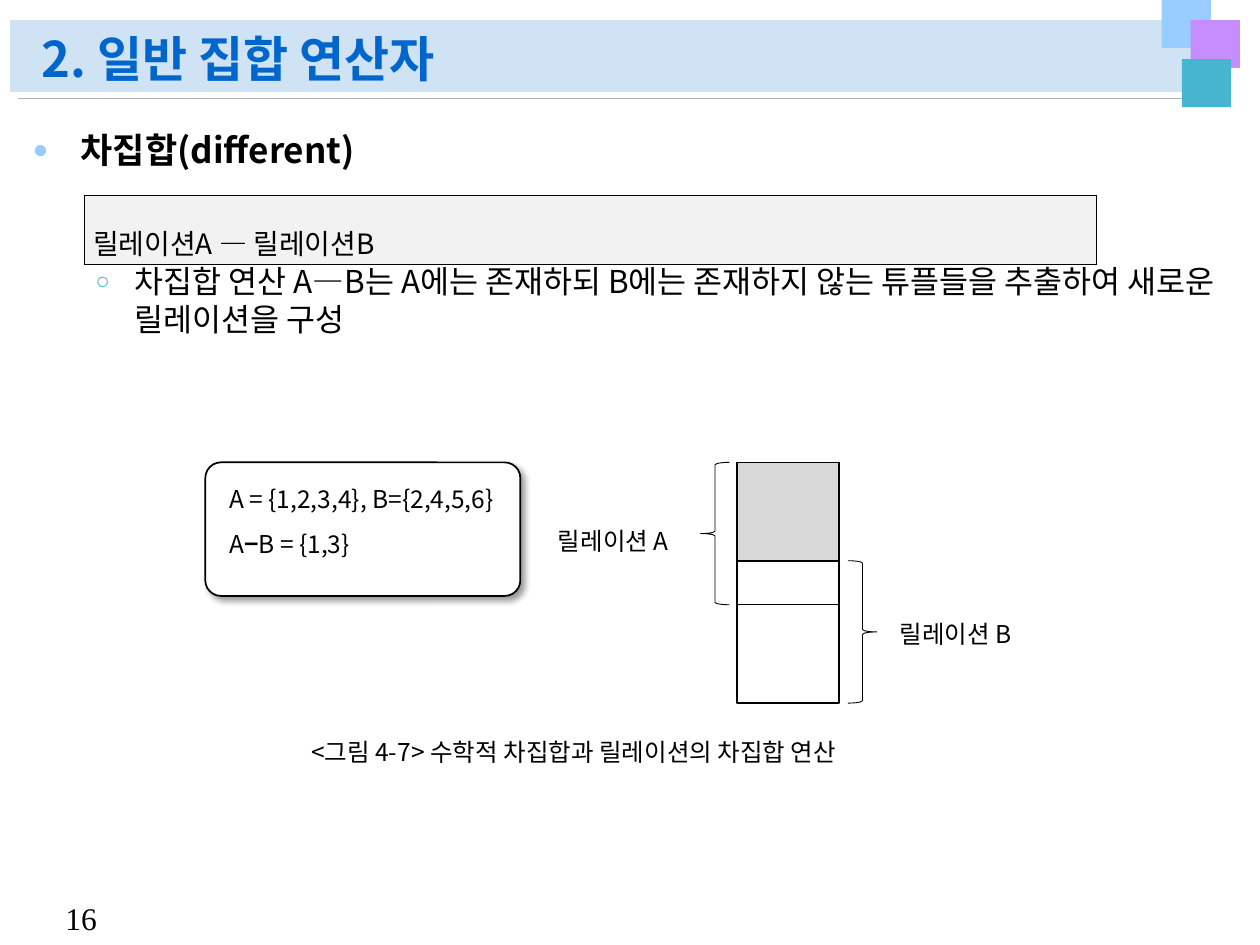
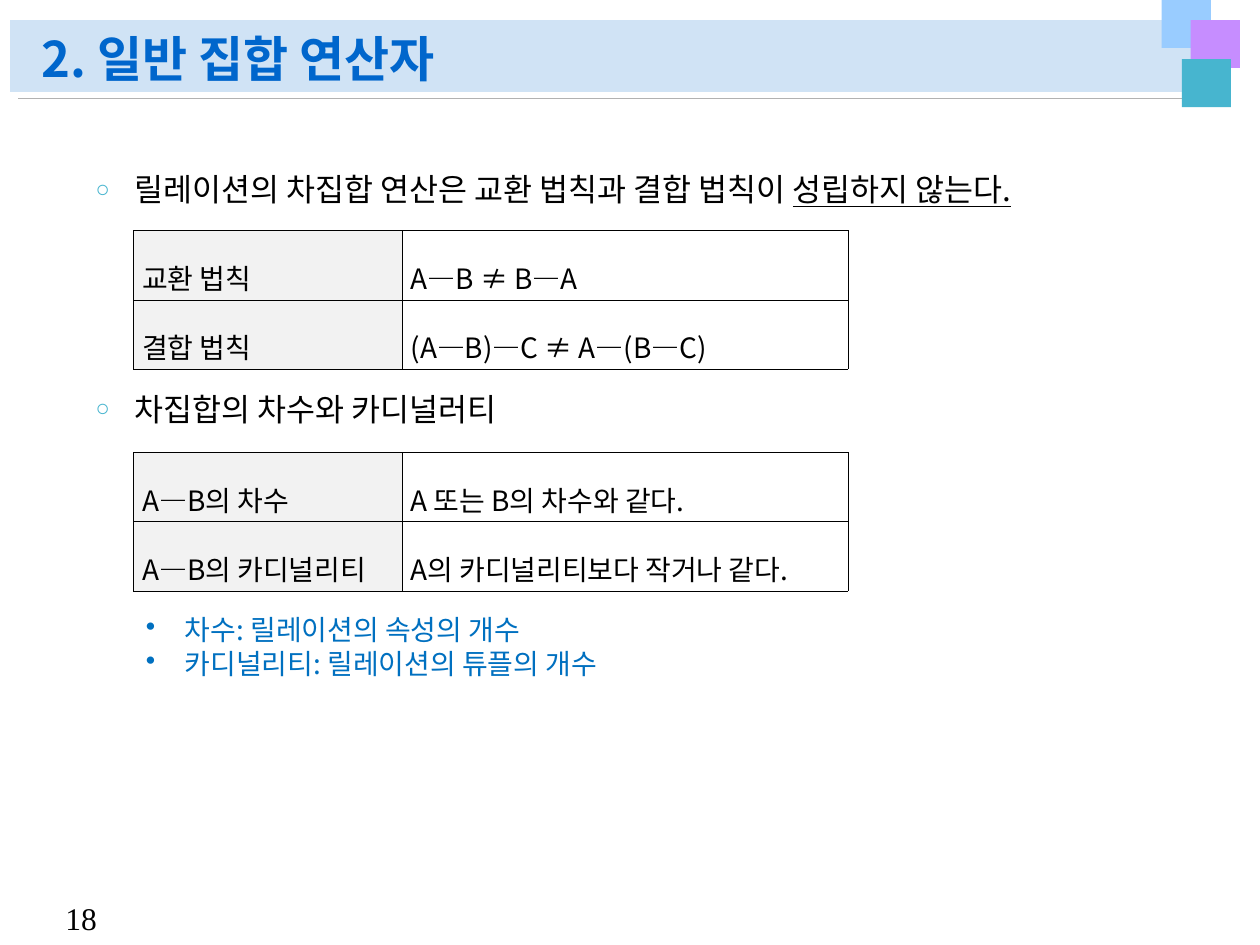
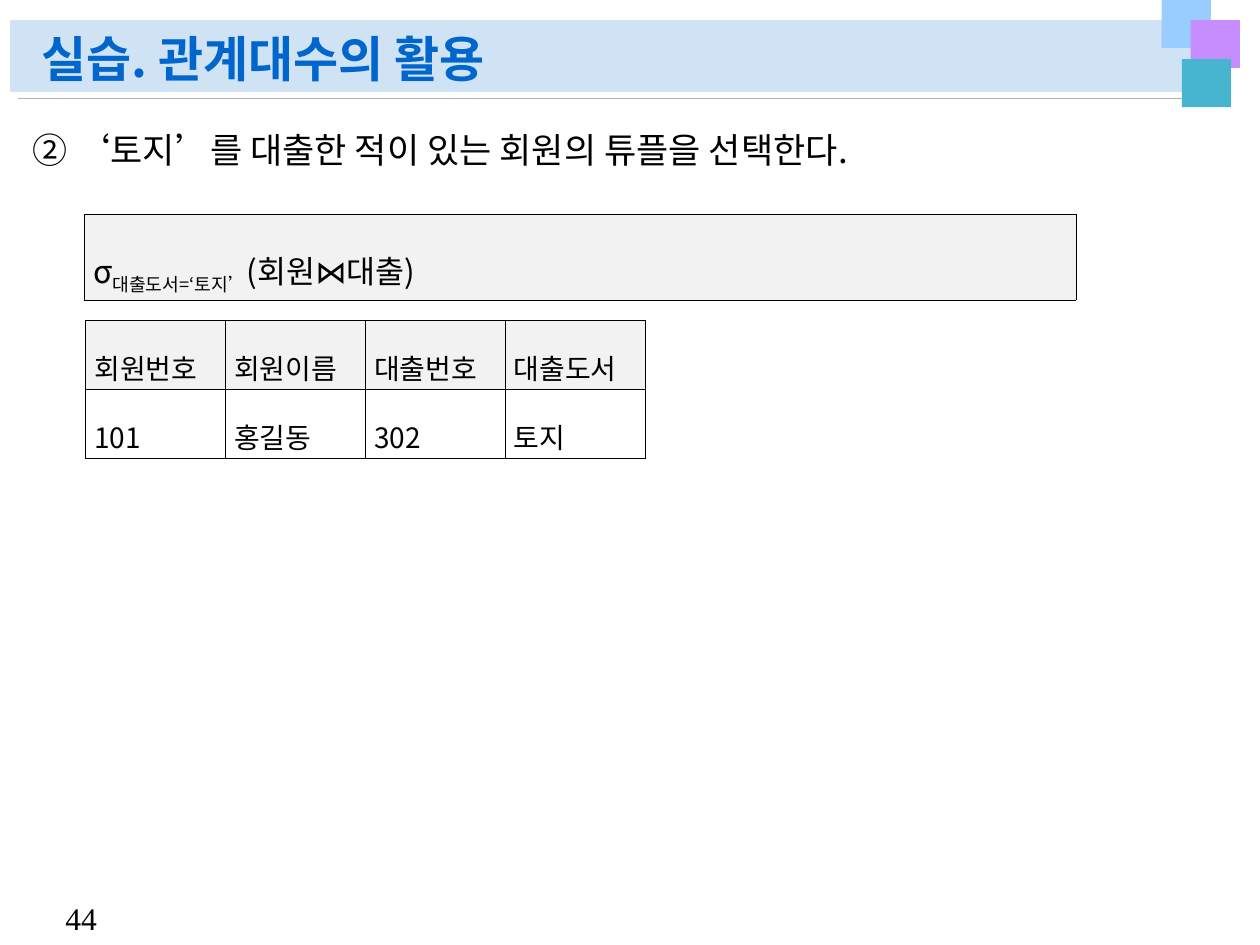
from lxml.etree import SubElement
from pptx import Presentation
from pptx.dml.color import RGBColor
from pptx.enum.shapes import MSO_CONNECTOR, MSO_SHAPE
from pptx.enum.text import MSO_ANCHOR, MSO_AUTO_SIZE, PP_ALIGN
from pptx.oxml.ns import qn
from pptx.util import Inches, Pt

FONT = "Noto Sans CJK KR"
BLACK = RGBColor(0x00, 0x00, 0x00)
WHITE = RGBColor(0xFF, 0xFF, 0xFF)
PALE = RGBColor(0xF2, 0xF2, 0xF2)
GRAY = RGBColor(0xD9, 0xD9, 0xD9)
RULE = RGBColor(0xB2, 0xB2, 0xB2)
BAND = RGBColor(0xD0, 0xE3, 0xF5)
SKY = RGBColor(0x99, 0xCC, 0xFF)
LILAC = RGBColor(0xC6, 0x8D, 0xFF)
TEAL = RGBColor(0x47, 0xB5, 0xCF)
TITLE = RGBColor(0x00, 0x66, 0xCC)
NOTE = RGBColor(0x00, 0x70, 0xC0)

SNUG = 1.22  # line pitch as a share of the text size


def write(par, text, size=14, color=BLACK, bold=False, under=False,
          base=0, font=FONT):
    """Add one run of text to a paragraph."""
    run = par.add_run()
    run.text = text
    run.font.size = Pt(size)
    run.font.bold = bold
    run.font.underline = under
    run.font.color.rgb = color
    run.font.name = font
    props = run._r.get_or_add_rPr()
    SubElement(props, qn("a:ea"), typeface=font)
    if base:
        props.set("baseline", str(base * 1000))


def indent(par, left=0, hang=0, mark=None, color=None, scale=None):
    """Set a hanging indent and its bullet."""
    props = par._p.get_or_add_pPr()
    props.set("marL", str(Inches(left)))
    props.set("indent", str(-Inches(hang)))
    if color is not None:
        tint = SubElement(props, qn("a:buClr"))
        SubElement(tint, qn("a:srgbClr"), val=str(color))
    if scale:
        SubElement(props, qn("a:buSzPct"), val=str(scale * 1000))
    if mark:
        SubElement(props, qn("a:buChar"), char=mark)
    else:
        SubElement(props, qn("a:buNone"))


def lines(frame, count):
    """Return the paragraphs of an empty frame, as many as asked."""
    return [frame.paragraphs[0]] + [
        frame.add_paragraph() for _ in range(count - 1)]


def shape(slide, kind, box, fill=None, line=None, width=1.0):
    item = slide.shapes.add_shape(kind, *map(Inches, box))
    item.shadow.inherit = False
    if fill is None:
        item.fill.background()
    else:
        item.fill.solid()
        item.fill.fore_color.rgb = fill
    if line is None:
        item.line.fill.background()
    else:
        item.line.color.rgb = line
        item.line.width = Pt(width)
    return item


def stroke(slide, start, end, color):
    item = slide.shapes.add_connector(
        MSO_CONNECTOR.STRAIGHT, *map(Inches, start + end))
    item.line.color.rgb = color
    item.line.width = Pt(0.5)
    SubElement(item.element.spPr, qn("a:effectLst"))
    return item


def label(slide, box, rows, size=14, pitch=SNUG, mark=None, **look):
    """Place a text box; each row is a text or a list of (text, look)."""
    frame = slide.shapes.add_textbox(*map(Inches, box)).text_frame
    frame.word_wrap = False
    frame.auto_size = MSO_AUTO_SIZE.SHAPE_TO_FIT_TEXT
    for par, row in zip(lines(frame, len(rows)), rows):
        if mark:
            indent(par, 0.31, 0.31, mark)
        par.line_spacing = Pt(round(size * pitch, 1))
        for text, more in [(row, {})] if isinstance(row, str) else row:
            write(par, text, size=size, **{**look, **more})


def border(cell):
    props = cell._tc.get_or_add_tcPr()
    for side in ("lnL", "lnR", "lnT", "lnB"):
        edge = SubElement(props, qn(f"a:{side}"), w=str(Pt(0.28)))
        paint = SubElement(edge, qn("a:solidFill"))
        SubElement(paint, qn("a:srgbClr"), val=str(BLACK))


def grid(slide, at, cols, rows, shaded, height=0.55, size=16):
    """Place a table; shaded(row, col) tells which cells are grey."""
    table = slide.shapes.add_table(
        len(rows), len(cols), *map(Inches, at),
        Inches(sum(cols)), Inches(height * len(rows))).table
    table.first_row = table.horz_banding = False
    for col, width in zip(table.columns, cols):
        col.width = Inches(width)
    for r, row in enumerate(rows):
        for c, runs in enumerate(row):
            cell = table.cell(r, c)
            cell.margin_left = cell.margin_right = Inches(0.07)
            cell.margin_top = cell.margin_bottom = Inches(0.02)
            cell.vertical_anchor = MSO_ANCHOR.MIDDLE
            border(cell)
            if shaded(r, c):
                cell.fill.solid()
                cell.fill.fore_color.rgb = PALE
            else:
                cell.fill.background()
            par = cell.text_frame.paragraphs[0]
            par.alignment = PP_ALIGN.JUSTIFY
            par.line_spacing = 1.6
            for text, base in [(runs, 0)] if isinstance(runs, str) else runs:
                write(par, text, size=size, base=base)


def dress(slide, layout):
    """Draw the band, rule and squares, and move them to the layout."""
    rect = MSO_SHAPE.RECTANGLE
    parts = [shape(slide, rect, (0.08, 0.16, 9.69, 0.57), BAND),
             stroke(slide, (9.74, 0.78), (0.14, 0.78), RULE)]
    for left, top, fill in ((9.22, 0, SKY), (9.45, 0.16, LILAC),
                            (9.38, 0.47, TEAL)):
        parts.append(shape(slide, rect, (left, top, 0.39, 0.38), fill))
    for part in parts:
        layout.shapes.element.append(part.element)


def place(holder, box):
    holder.left, holder.top, holder.width, holder.height = map(Inches, box)


def start(deck, title, number):
    """Add a slide with its title and number; return it and its body."""
    slide = deck.slides.add_slide(deck.slide_layouts[1])
    head, body = slide.placeholders
    place(head, (0.23, 0.17, 8.98, 0.58))
    place(body, (0.16, 0.94, 9.61, 6.02))
    for holder in (head, body):
        holder.text_frame.auto_size = MSO_AUTO_SIZE.NONE
        holder.text_frame.word_wrap = True
    head.text_frame.vertical_anchor = MSO_ANCHOR.BOTTOM
    par = head.text_frame.paragraphs[0]
    par.alignment = PP_ALIGN.LEFT
    par.line_spacing = 0.9
    write(par, title, size=28, color=TITLE, bold=True)
    label(slide, (0.42, 7.08, 0.5, 0.4), [str(number)], size=18,
          font="Times New Roman")
    return slide, body.text_frame


def topic(par, text, bold=False):
    """Write a first-level line of the body."""
    par.space_before = Pt(0)
    par.line_spacing = Pt(26)
    write(par, text, size=20, bold=bold)


def point(par, text, tail="", gap=0):
    """Write a second-level line, with an underlined tail."""
    par.level = 1
    indent(par, 0.81, 0.31, "○", TEAL, 75)
    par.space_before = Pt(gap)
    par.line_spacing = Pt(21.7)
    write(par, text, size=18)
    if tail:
        write(par, tail, size=18, under=True)


def sets(slide, left, top):
    """Draw the number sets in a rounded box."""
    card = shape(slide, MSO_SHAPE.ROUNDED_RECTANGLE,
                 (left, top, 2.5, 1.06), WHITE, BLACK)
    card.adjustments[0] = 0.117
    glow = SubElement(card.element.spPr.find(qn("a:effectLst")),
                      qn("a:outerShdw"), blurRad=str(Pt(4)),
                      dist=str(Pt(3)), dir="2700000", algn="tl",
                      rotWithShape="0")
    tint = SubElement(glow, qn("a:srgbClr"), val=str(BLACK))
    SubElement(tint, qn("a:alpha"), val="40000")
    label(slide, (left + 0.09, top, 2.41, 0.76),
          ["A = {1,2,3,4}, B={2,4,5,6}",
           [("A", {}), ("−", {"bold": True}), ("B = {1,3}", {})]],
          pitch=1.84)


def overlap(slide, left, top):
    """Draw relations A and B as bars that share a middle part."""
    wide, tall, step = 0.81, 1.13, 0.78
    rect, brace = MSO_SHAPE.RECTANGLE, MSO_SHAPE.LEFT_BRACE
    for drop, height, fill in ((0, tall, WHITE), (step, tall, WHITE),
                               (0, step, GRAY)):
        shape(slide, rect, (left, top + drop, wide, height), fill, BLACK)
    stroke(slide, (left, top + tall), (left + wide, top + tall), BLACK)
    for name, side, drop, turn, text_at in (
            ("A", -0.29, 0, 0, (-1.52, 0.45)),
            ("B", 0.88, step, 180, (1.19, 1.19))):
        item = shape(slide, brace, (left + side, top + drop, 0.23, tall),
                     None, BLACK, 0.5)
        item.rotation = turn
        label(slide, (left + text_at[0], top + text_at[1], 1.19, 0.34),
              [f"릴레이션 {name}"])


def differ(slide, body):
    first, second = lines(body, 2)
    indent(first, 0.38, 0.38, "●", SKY, 75)
    topic(first, "차집합(different)", bold=True)
    point(second, "차집합 연산 A―B는 A에는 존재하되 B에는 존재하지 않는 "
          "튜플들을 추출하여 새로운 릴레이션을 구성", gap=52.5)
    grid(slide, (0.67, 1.55), [8.03], [["릴레이션A ― 릴레이션B"]],
         lambda r, c: True)
    sets(slide, 1.63, 3.67)
    overlap(slide, 5.85, 3.67)
    label(slide, (2.37, 5.8, 4.91, 0.34),
          ["<그림 4-7> 수학적 차집합과 릴레이션의 차집합 연산"])


def laws(slide, body):
    body.margin_top = Inches(0.41)
    first, second = lines(body, 2)
    point(first, "릴레이션의 차집합 연산은 교환 법칙과 결합 법칙이 ",
          "성립하지 않는다.")
    point(second, "차집합의 차수와 카디널러티", gap=103.6)
    for top, rows in (
            (1.83, [["교환 법칙", "A―B ≠ B―A"],
                    ["결합 법칙", "(A―B)―C ≠ A―(B―C)"]]),
            (3.59, [["A―B의 차수", "A 또는 B의 차수와 같다."],
                    ["A―B의 카디널리티", "A의 카디널리티보다 작거나 같다."]])):
        grid(slide, (1.06, top), [2.13, 3.54], rows, lambda r, c: c == 0)
    label(slide, (1.06, 4.81, 4.25, 0.64),
          ["차수: 릴레이션의 속성의 개수",
           "카디널리티: 릴레이션의 튜플의 개수"],
          size=16, mark="•", color=NOTE)


def query(slide, body):
    par = body.paragraphs[0]
    indent(par)
    topic(par, "② ‘토지’를 대출한 적이 있는 회원의 튜플을 선택한다.")
    grid(slide, (0.67, 1.7), [7.87],
         [[[("σ", 0), ("대출도서=‘토지’", -25), ("(회원⋈대출)", 0)]]],
         lambda r, c: True, height=0.68, size=18)
    grid(slide, (0.68, 2.54), [1.11] * 4,
         [["회원번호", "회원이름", "대출번호", "대출도서"],
          ["101", "홍길동", "302", "토지"]],
         lambda r, c: r == 0)


def main():
    deck = Presentation()
    deck.slide_width, deck.slide_height = Inches(10), Inches(7.5)
    for title, number, fill in (("2. 일반 집합 연산자", 16, differ),
                                ("2. 일반 집합 연산자", 18, laws),
                                ("실습. 관계대수의 활용", 44, query)):
        slide, body = start(deck, title, number)
        fill(slide, body)
    dress(deck.slides[0], deck.slide_layouts[1])
    deck.save("out.pptx")


if __name__ == "__main__":
    main()
